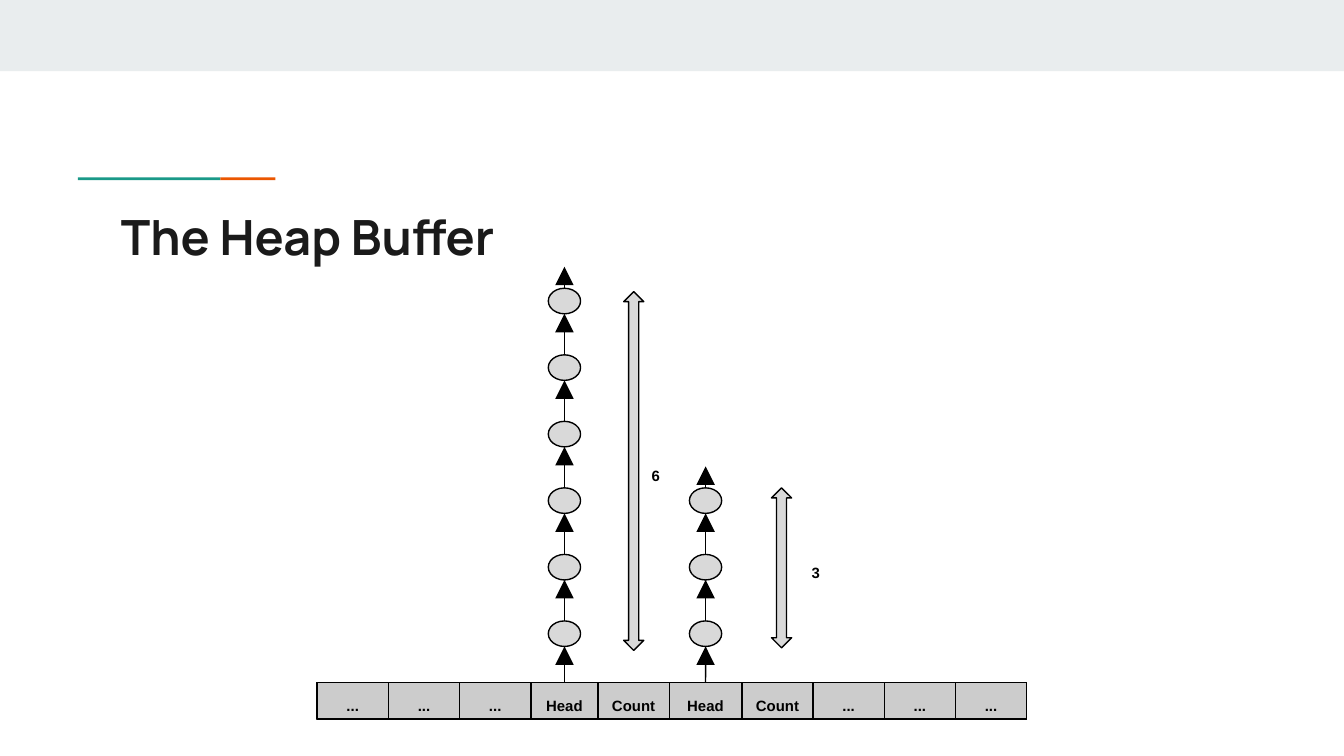
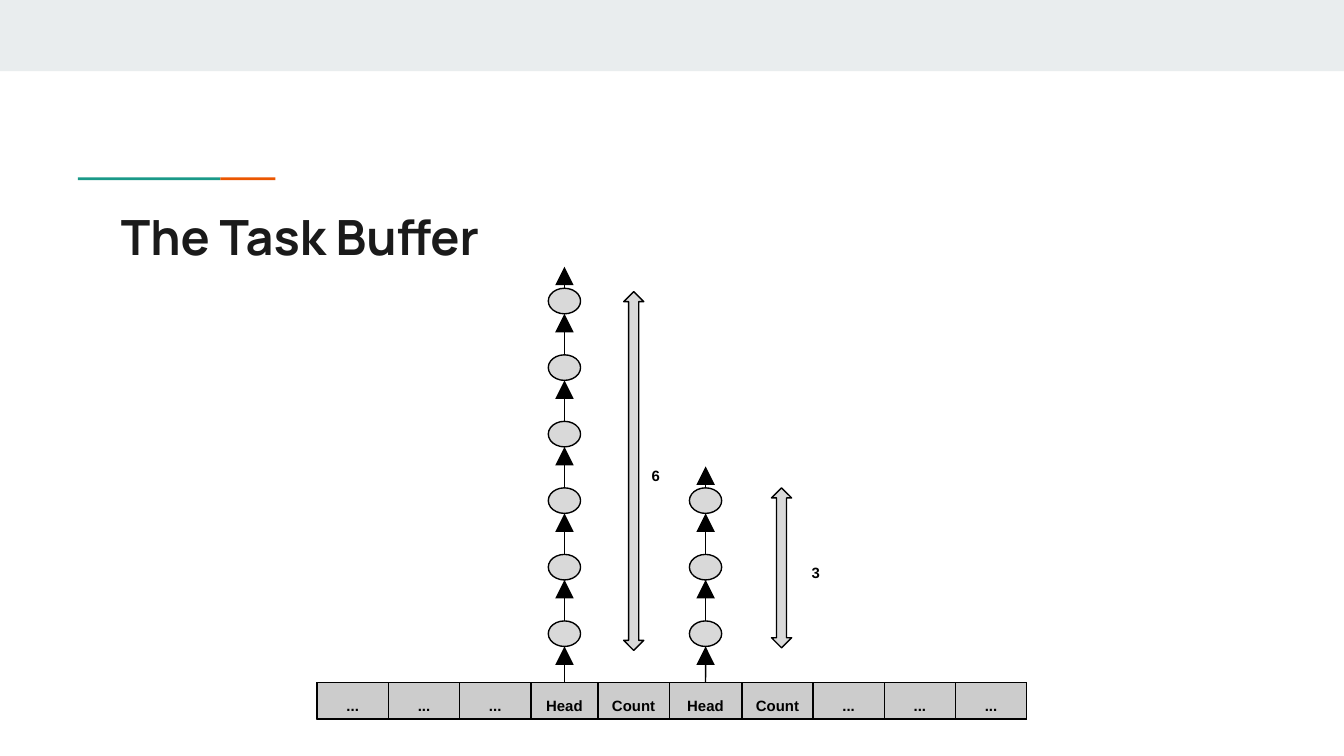
from dataclasses import dataclass
from itertools import pairwise

from lxml import etree
from pptx import Presentation
from pptx import util as u
from pptx.dml.color import RGBColor
from pptx.enum import shapes, text
from pptx.oxml import ns

HUES = {
    "band": "E9EDEE",
    "teal": "1A9988",
    "rust": "EB5600",
    "title": "1A1A1A",
    "ink": "000000",
    "node": "D9D9D9",
    "cell": "CCCCCC",
}
KIND = shapes.MSO_SHAPE
ROW_TOP, ROW_HIGH = 5.08, 0.27
NODE_WIDE, NODE_HIGH = 0.24, 0.19
NODE_TOP, NODE_STEP = 4.62, 0.99 / 2
TIP = 0.16
THIN = u.Pt(0.75)


@dataclass(frozen=True)
class Box:
    left: float
    top: float
    wide: float
    high: float

    def span(self) -> tuple:
        return tuple(u.Inches(n) for n in (self.left, self.top, self.wide, self.high))


@dataclass(frozen=True)
class Row:
    edges: tuple[float, ...]
    names: tuple[str, ...]


@dataclass(frozen=True)
class Chain:
    mid: float
    count: int
    head: int
    gauge: Box
    label: Box


DOTS = ("...",) * 3
ROWS = (
    Row((2.36, 2.89, 3.42, 3.95), DOTS),
    Row((3.95, 4.45, 4.98, 5.52, 6.05), ("Head", "Count") * 2),
    Row((6.05, 6.58, 7.11, 7.64), DOTS),
)
CHAINS = (
    Chain(4.2, 6, 3, Box(4.64, 2.17, 0.15, 2.67), Box(4.75, 3.37, 0.2, 0.27)),
    Chain(5.25, 3, 5, Box(5.74, 3.63, 0.15, 1.19), Box(5.94, 4.09, 0.2, 0.27)),
)
TRIM = (
    (Box(0, 0, 10, 0.53), "band"),
    (Box(0.58, 1.32, 1.06, 0.02), "teal"),
    (Box(1.64, 1.32, 0.41, 0.02), "rust"),
)
TITLES = ("The Heap Buffer", "The Task Buffer")


def tint(name: str) -> RGBColor:
    return RGBColor.from_string(HUES[name])


def draw(slide, kind, box: Box, fill: str | None = None, line: str | None = "ink"):
    shape = slide.shapes.add_shape(kind, *box.span())
    shape.shadow.inherit = False
    if fill:
        shape.fill.solid()
        shape.fill.fore_color.rgb = tint(fill)
    else:
        shape.fill.background()
    if line:
        shape.line.color.rgb = tint(line)
        shape.line.width = THIN
    else:
        shape.line.fill.background()
    return shape


def write(shape, words: str, face: str = "Arial", size: int = 8, hue: str = "ink",
          align=text.PP_ALIGN.LEFT, wrap: bool = False) -> None:
    frame = shape.text_frame
    frame.text = words
    frame.word_wrap = wrap
    frame.auto_size = text.MSO_AUTO_SIZE.NONE
    frame.vertical_anchor = text.MSO_ANCHOR.TOP
    for side in ("left", "top", "right", "bottom"):
        setattr(frame, f"margin_{side}", u.Inches(0.1))
    para = frame.paragraphs[0]
    para.alignment = align
    para.font.name = face
    para.font.size = u.Pt(size)
    para.font.bold = True
    para.font.color.rgb = tint(hue)


def point(slide, mid: float, low: float, high: float, base) -> None:
    ends = (u.Inches(n) for n in (mid, low, mid, high))
    arrow = slide.shapes.add_connector(shapes.MSO_CONNECTOR.STRAIGHT, *ends)
    arrow.begin_connect(base, 0)
    arrow.line.color.rgb = tint("ink")
    arrow.line.width = THIN
    etree.SubElement(arrow.line._get_or_add_ln(), ns.qn("a:tailEnd"),
                     type="triangle", w="lg", len="lg")
    etree.SubElement(arrow.element.spPr, ns.qn("a:effectLst"))


def draw_row(slide, row: Row) -> list:
    left, right = row.edges[0], row.edges[-1]
    draw(slide, KIND.RECTANGLE, Box(left, ROW_TOP, right - left, ROW_HIGH), "cell")
    cells = []
    for (start, end), name in zip(pairwise(row.edges), row.names):
        cell = draw(slide, KIND.RECTANGLE, Box(start, ROW_TOP, end - start, ROW_HIGH))
        write(cell, name, align=text.PP_ALIGN.CENTER)
        cells.append(cell)
    return cells


def draw_chain(slide, chain: Chain, base) -> None:
    low = ROW_TOP
    for step in range(chain.count):
        top = NODE_TOP - step * NODE_STEP
        point(slide, chain.mid, low, top + NODE_HIGH, base)
        spot = Box(chain.mid - NODE_WIDE / 2, top, NODE_WIDE, NODE_HIGH)
        base = draw(slide, KIND.FLOWCHART_CONNECTOR, spot, "node")
        low = top
    point(slide, chain.mid, low, low - TIP, base)
    draw(slide, KIND.UP_DOWN_ARROW, chain.gauge, "node")
    write(slide.shapes.add_textbox(*chain.label.span()), str(chain.count))


def dress(slide, layout) -> None:
    for spot, (box, fill) in enumerate(TRIM, 2):
        shape = draw(slide, KIND.RECTANGLE, box, fill, None)
        layout.shapes.element.insert(spot, shape.element)


def build(slide, name: str) -> None:
    title = slide.shapes.title
    title.left, title.top, title.width, title.height = Box(0.8, 1.44, 8.41, 0.59).span()
    write(title, name, "Manrope", 26, "title", wrap=True)
    cells = [cell for row in ROWS for cell in draw_row(slide, row)]
    for chain in CHAINS:
        draw_chain(slide, chain, cells[chain.head])


def main() -> None:
    deck = Presentation()
    deck.slide_width = u.Inches(10)
    deck.slide_height = u.Inches(10 * 9 / 16)
    layout = deck.slide_layouts[5]
    for name in TITLES:
        slide = deck.slides.add_slide(layout)
        if len(deck.slides) == 1:
            dress(slide, layout)
        build(slide, name)
    deck.save("out.pptx")


if __name__ == "__main__":
    main()
